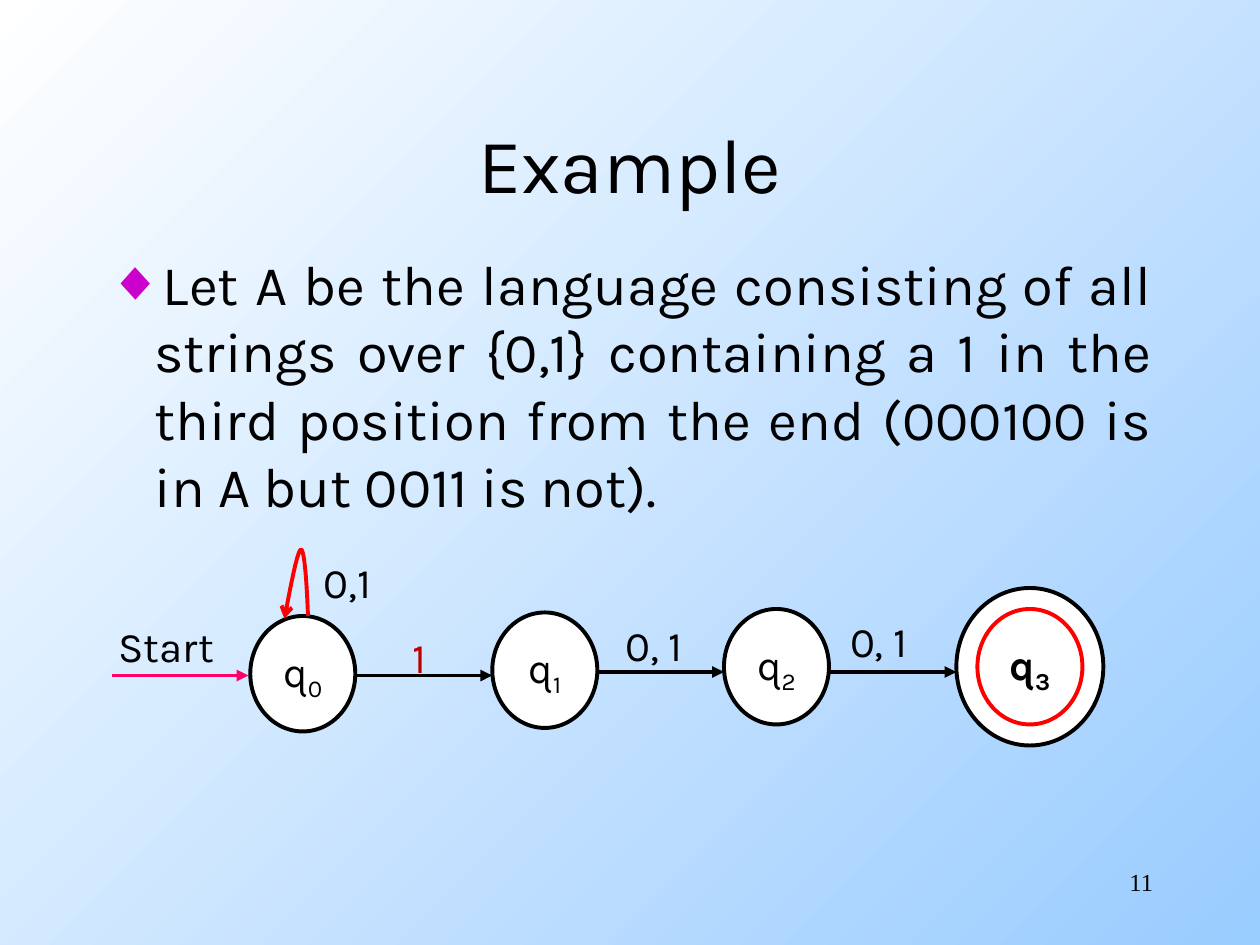
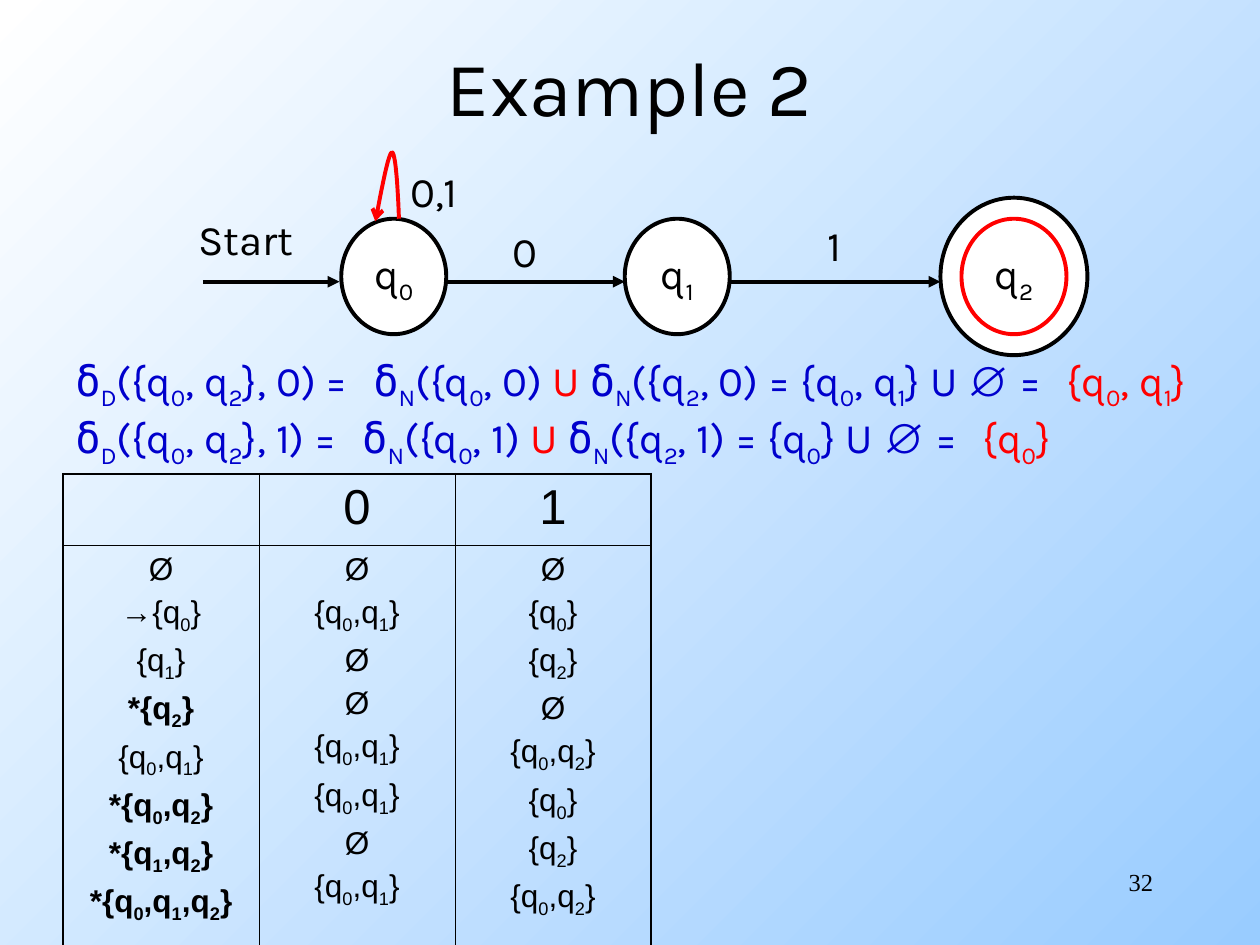
from lxml import etree
from pptx import Presentation
from pptx.dml.color import RGBColor
from pptx.enum.shapes import MSO_CONNECTOR, MSO_SHAPE
from pptx.enum.text import MSO_ANCHOR, MSO_AUTO_SIZE, PP_ALIGN
from pptx.oxml.ns import qn
from pptx.util import Pt

BLACK, WHITE, RED, BLUE = "000000", "FFFFFF", "FF0000", "0000CC"
SKY, PINK, DARK_RED, MAGENTA = "99CCFF", "FF0066", "C00000", "CC00CC"
SANS, MONO, TABLE_FONT, SERIF = "Karla", "DejaVu Sans Mono", "Arial", "Times New Roman"

LINE_WIDTH = 2.25
STATE_W, STATE_H = 60, 66
LABEL_W, LABEL_H = 80, 36
RING_GAP = 12
START_LENGTH = 78
LOOP_START = (33, 0)
LOOP_CURVES = [((32.4, -18.7), (31, -38), (29, -38)),
               ((26.5, -37.5), (21, -5), (19.5, 1.5))]


def rgb(hex_color):
    return RGBColor.from_string(hex_color)


def add_text(paragraph, text, font=SANS, size=24, color=BLACK, bold=False):
    """Append text; the character after each underscore becomes a subscript."""
    plain, *subscripted = text.split("_")
    pieces = [(plain, False)]
    for part in subscripted:
        pieces += [(part[0], True), (part[1:], False)]
    for piece, is_subscript in pieces:
        if not piece:
            continue
        run = paragraph.add_run()
        run.text = piece
        run.font.name, run.font.size, run.font.bold = font, Pt(size), bold
        run.font.color.rgb = rgb(color)
        if is_subscript:
            run._r.get_or_add_rPr().set("baseline", "-25000")


def add_text_box(slide, left, top, width, height, anchor=MSO_ANCHOR.TOP):
    frame = slide.shapes.add_textbox(Pt(left), Pt(top), Pt(width), Pt(height)).text_frame
    frame.word_wrap = True
    frame.vertical_anchor = anchor
    return frame


def add_label(slide, center_x, center_y, text, **style):
    frame = add_text_box(slide, center_x - LABEL_W / 2, center_y - LABEL_H / 2,
                         LABEL_W, LABEL_H, anchor=MSO_ANCHOR.MIDDLE)
    frame.paragraphs[0].alignment = PP_ALIGN.CENTER
    add_text(frame.paragraphs[0], text, **style)


def place(placeholder, left, top, width, height):
    placeholder.left, placeholder.top = Pt(left), Pt(top)
    placeholder.width, placeholder.height = Pt(width), Pt(height)
    placeholder.text_frame.auto_size = MSO_AUTO_SIZE.NONE


def add_slide(prs, layout_index, title, title_top, title_height, number):
    """Add a slide with the shared title style and page number."""
    slide = prs.slides.add_slide(prs.slide_layouts[layout_index])
    heading = slide.shapes.title
    place(heading, 54, title_top, 612, title_height)
    heading.text_frame.vertical_anchor = MSO_ANCHOR.MIDDLE
    heading.text_frame.paragraphs[0].alignment = PP_ALIGN.CENTER
    add_text(heading.text_frame.paragraphs[0], title, size=44)
    page = add_text_box(slide, 516, 492, 150, 36).paragraphs[0]
    page.alignment = PP_ALIGN.RIGHT
    add_text(page, number, font=SERIF, size=14)
    return slide


def style_stroke(shape, color, arrowhead=None):
    shape.line.color.rgb = rgb(color)
    shape.line.width = Pt(LINE_WIDTH)
    if arrowhead:
        etree.SubElement(shape.line._get_or_add_ln(), qn("a:tailEnd"), type=arrowhead)


def add_arrow(slide, start_x, end_x, y, color=BLACK):
    arrow = slide.shapes.add_connector(
        MSO_CONNECTOR.STRAIGHT, Pt(start_x), Pt(y), Pt(end_x), Pt(y))
    style_stroke(arrow, color, "triangle")
    etree.SubElement(arrow._element.spPr, qn("a:effectLst"))


def add_circle(slide, left, top, width, height, color=BLACK):
    circle = slide.shapes.add_shape(
        MSO_SHAPE.OVAL, Pt(left), Pt(top), Pt(width), Pt(height))
    circle.shadow.inherit = False
    circle.fill.solid()
    circle.fill.fore_color.rgb = rgb(WHITE)
    style_stroke(circle, color)
    return circle


def add_state(slide, left, top, name, final=False, bold=False):
    if final:
        add_circle(slide, left - RING_GAP, top - RING_GAP,
                   STATE_W + 2 * RING_GAP, STATE_H + 2 * RING_GAP)
    state = add_circle(slide, left, top, STATE_W, STATE_H, RED if final else BLACK)
    frame = state.text_frame
    frame.word_wrap = False
    frame.vertical_anchor = MSO_ANCHOR.MIDDLE
    frame.paragraphs[0].alignment = PP_ALIGN.CENTER
    add_text(frame.paragraphs[0], name, bold=bold)


def add_loop(slide, left, top, steps=12):
    """Draw the self-loop above a state as a sampled Bezier curve."""
    points, begin = [], LOOP_START
    for curve in LOOP_CURVES:
        for step in range(1, steps + 1):
            t = step / steps
            weights = ((1 - t) ** 3, 3 * t * (1 - t) ** 2, 3 * t * t * (1 - t), t ** 3)
            x, y = (sum(w * p[axis] for w, p in zip(weights, (begin, *curve)))
                    for axis in (0, 1))
            points.append((Pt(left + x), Pt(top + y)))
        begin = curve[-1]
    builder = slide.shapes.build_freeform(Pt(left + LOOP_START[0]), Pt(top + LOOP_START[1]))
    builder.add_line_segments(points, close=False)
    loop = builder.convert_to_shape()
    loop.shadow.inherit = False
    loop.fill.background()
    style_stroke(loop, RED, "arrow")


def add_automaton(slide, left, top, states, arrow_ys, labels,
                  start_color=BLACK, bold_final=False):
    """Draw a chain of states; the last one accepts and the first one loops."""
    last = len(states) - 1
    for index, (x, y) in enumerate(states):
        final = index == last
        add_state(slide, left + x, top + y, f"q_{index}", final, bold_final and final)
        arrow_y = top + arrow_ys[index]
        if index == 0:
            end = left + x - 1
            add_arrow(slide, end - START_LENGTH, end, arrow_y, start_color)
        else:
            end = left + x - (RING_GAP if final else 0)
            add_arrow(slide, left + states[index - 1][0] + STATE_W, end, arrow_y)
    add_loop(slide, left + states[0][0], top + states[0][1])
    for text, x, y, color in labels:
        add_label(slide, left + x, top + y, text, color=color)


def add_definition(slide, left, top, width, height, text):
    body = slide.placeholders[1]
    place(body, left, top, width, height)
    paragraph = body.text_frame.paragraphs[0]
    paragraph.alignment = PP_ALIGN.JUSTIFY
    paragraph.space_before = Pt(0)
    props = paragraph._p.get_or_add_pPr()
    props.set("marL", str(Pt(27)))
    props.set("indent", str(-Pt(27)))
    bullet_color = etree.SubElement(props, qn("a:buClr"))
    etree.SubElement(bullet_color, qn("a:srgbClr"), val=MAGENTA)
    etree.SubElement(props, qn("a:buChar"), char="◆")
    add_text(paragraph, text, size=32)


def add_formulas(slide, left, top, width, height, results):
    """Write one subset-construction step per input symbol."""
    frame = add_text_box(slide, left, top, width, height)
    for row, (symbol, result) in enumerate(results):
        paragraph = frame.add_paragraph() if row else frame.paragraphs[0]
        for text, font, color in [
                ("δ", MONO, BLUE), (f"_D({{q_0, q_2}}, {symbol}) =", SANS, BLUE),
                (" δ", MONO, BLUE), (f"_N({{q_0, {symbol}) ", SANS, BLUE),
                ("U ", SANS, RED), ("δ", MONO, BLUE),
                (f"_N({{q_2, {symbol}) = {result} U ", SANS, BLUE),
                ("∅", TABLE_FONT, BLUE), (" =", SANS, BLUE),
                (" ", MONO, BLUE), (result, SANS, RED)]:
            add_text(paragraph, text, font=font, color=color)


def set_borders(cell, widths):
    """Put left, right, top and bottom lines ahead of the cell's fill."""
    props = cell._tc.get_or_add_tcPr()
    for position, (side, width) in enumerate(zip("LRTB", widths)):
        line = etree.Element(qn(f"a:ln{side}"), w=str(Pt(width)))
        fill = etree.SubElement(line, qn("a:solidFill"))
        etree.SubElement(fill, qn("a:srgbClr"), val=BLACK)
        props.insert(position, line)


def add_transition_table(slide, left, top, col_width, row_heights, rows):
    row_count, col_count = len(rows), len(rows[0])
    table = slide.shapes.add_table(
        row_count, col_count, Pt(left), Pt(top),
        Pt(col_width * col_count), Pt(sum(row_heights))).table
    table.first_row = table.horz_banding = False
    outer, inner = 1.08, 0.45
    for column in table.columns:
        column.width = Pt(col_width)
    for r, entries in enumerate(rows):
        table.rows[r].height = Pt(row_heights[r])
        for c, lines in enumerate(entries):
            cell = table.cell(r, c)
            cell.fill.background()
            on_edge = (c == 0, c == col_count - 1, r == 0, r == row_count - 1)
            set_borders(cell, [outer if edge else inner for edge in on_edge])
            for index, text in enumerate(lines):
                frame = cell.text_frame
                paragraph = frame.add_paragraph() if index else frame.paragraphs[0]
                paragraph.alignment = PP_ALIGN.CENTER
                paragraph.space_before = Pt(4.5 if index else 0)
                add_text(paragraph, text, font=TABLE_FONT, size=18 if r else 28,
                         bold=text.startswith("*"))


def build_language_slide(prs):
    slide = add_slide(prs, 1, "Example", 48, 90, "11")
    add_definition(slide, 54, 139, 612, 173,
                   "Let A be the language consisting of all strings over {0,1} containing "
                   "a 1 in the third position from the end (000100 is in A but 0011 is not).")
    add_automaton(
        slide, 60, 310,
        states=[(83, 42), (221.3, 40), (353.7, 38), (498.5, 38)],
        arrow_ys=[76, 76, 74, 74],
        labels=[("Start", 35, 59, BLACK), ("0,1", 138.4, 22.2, BLACK),
                ("1", 179.8, 65, DARK_RED), ("0, 1", 313.7, 58.3, BLACK),
                ("0, 1", 442.2, 56, BLACK)],
        start_color=PINK, bold_final=True)


def build_subset_slide(prs):
    slide = add_slide(prs, 5, "Example 2", 26, 46, "32")
    add_automaton(
        slide, 100, 85,
        states=[(95, 40), (257, 40), (449.4, 40)],
        arrow_ys=[76, 76, 76],
        labels=[("Start", 40.4, 51.4, BLACK), ("0,1", 148, 24, BLACK),
                ("0", 200.2, 58, BLACK), ("1", 377, 55, BLACK)])
    add_transition_table(slide, 36, 270.7, 112, (41, 232.6), [
        ([], ["0"], ["1"]),
        (["Ø", "→{q_0}", "{q_1}", "*{q_2}", "{q_0,q_1}",
          "*{q_0,q_2}", "*{q_1,q_2}", "*{q_0,q_1,q_2}"],
         ["Ø", "{q_0,q_1}", "Ø", "Ø", "{q_0,q_1}", "{q_0,q_1}", "Ø", "{q_0,q_1}"],
         ["Ø", "{q_0}", "{q_2}", "Ø", "{q_0,q_2}", "{q_0}", "{q_2}", "{q_0,q_2}"])])
    add_formulas(slide, 36, 199, 680, 73, [("0", "{q_0, q_1}"), ("1", "{q_0}")])


def main():
    prs = Presentation()
    prs.slide_width, prs.slide_height = Pt(720), Pt(540)
    backdrop = prs.slide_master.background.fill
    backdrop.gradient()
    backdrop.gradient_angle = 315
    for stop, color in zip(backdrop.gradient_stops, (WHITE, SKY)):
        stop.color.rgb = rgb(color)
    build_language_slide(prs)
    build_subset_slide(prs)
    prs.save("out.pptx")


if __name__ == "__main__":
    main()
